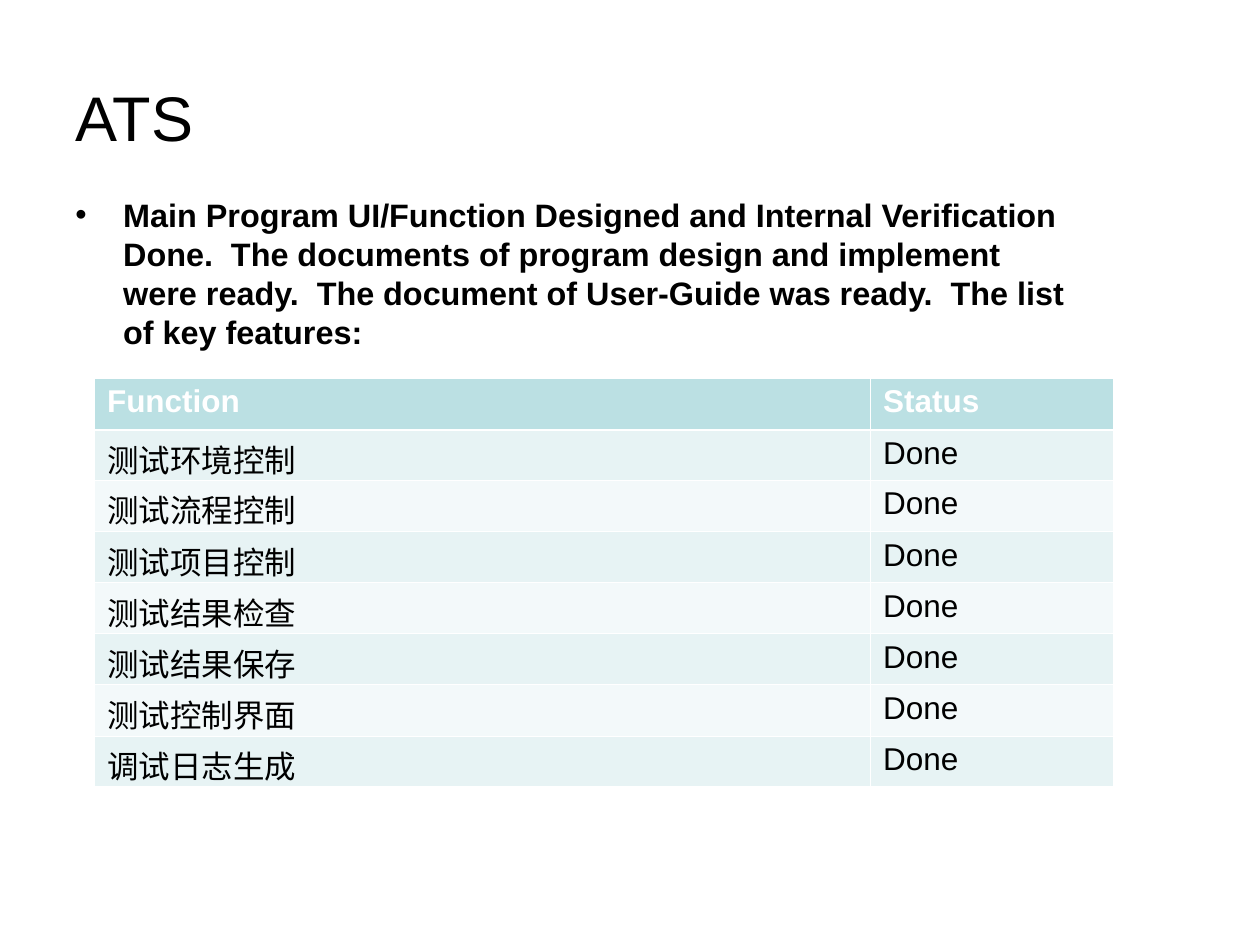
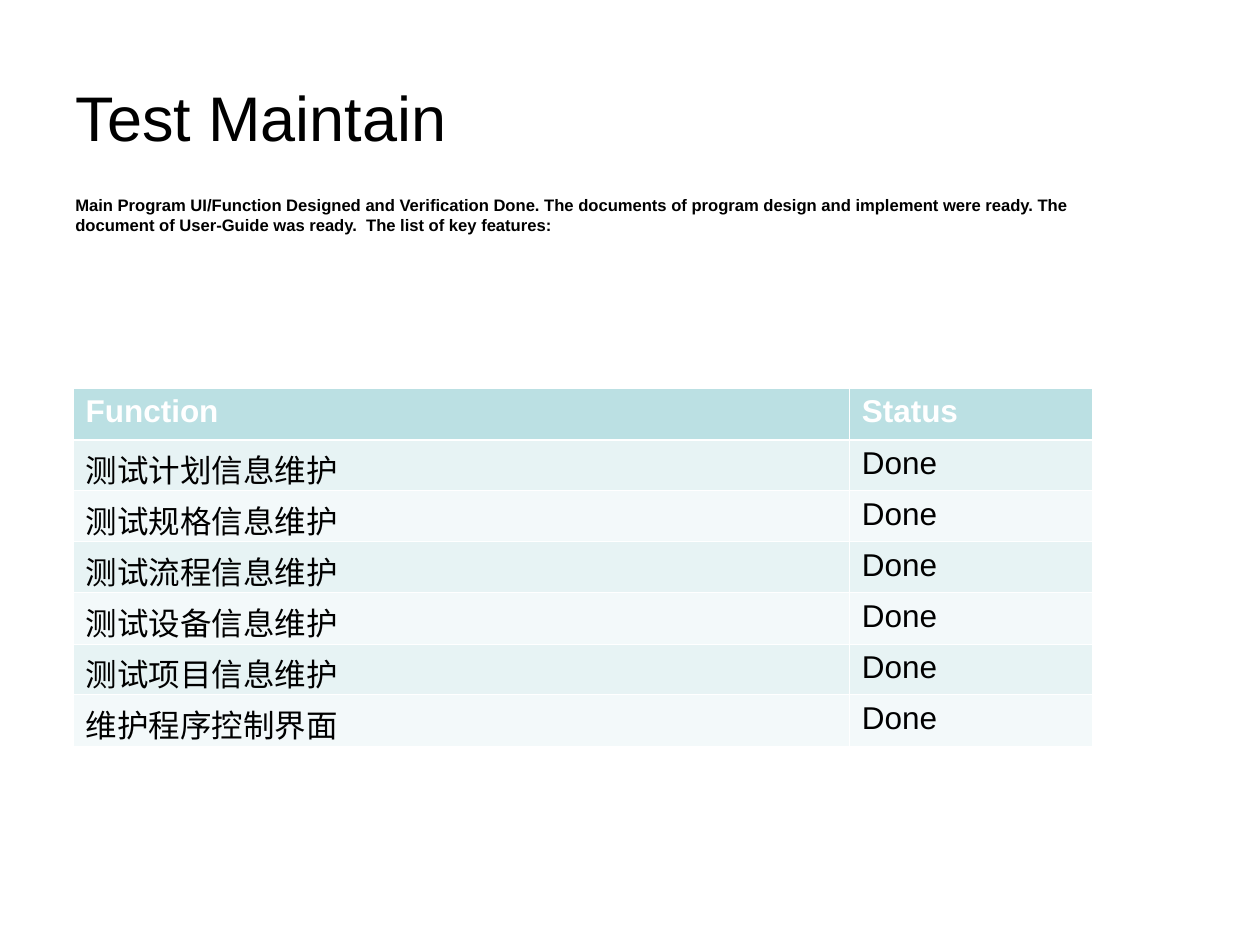
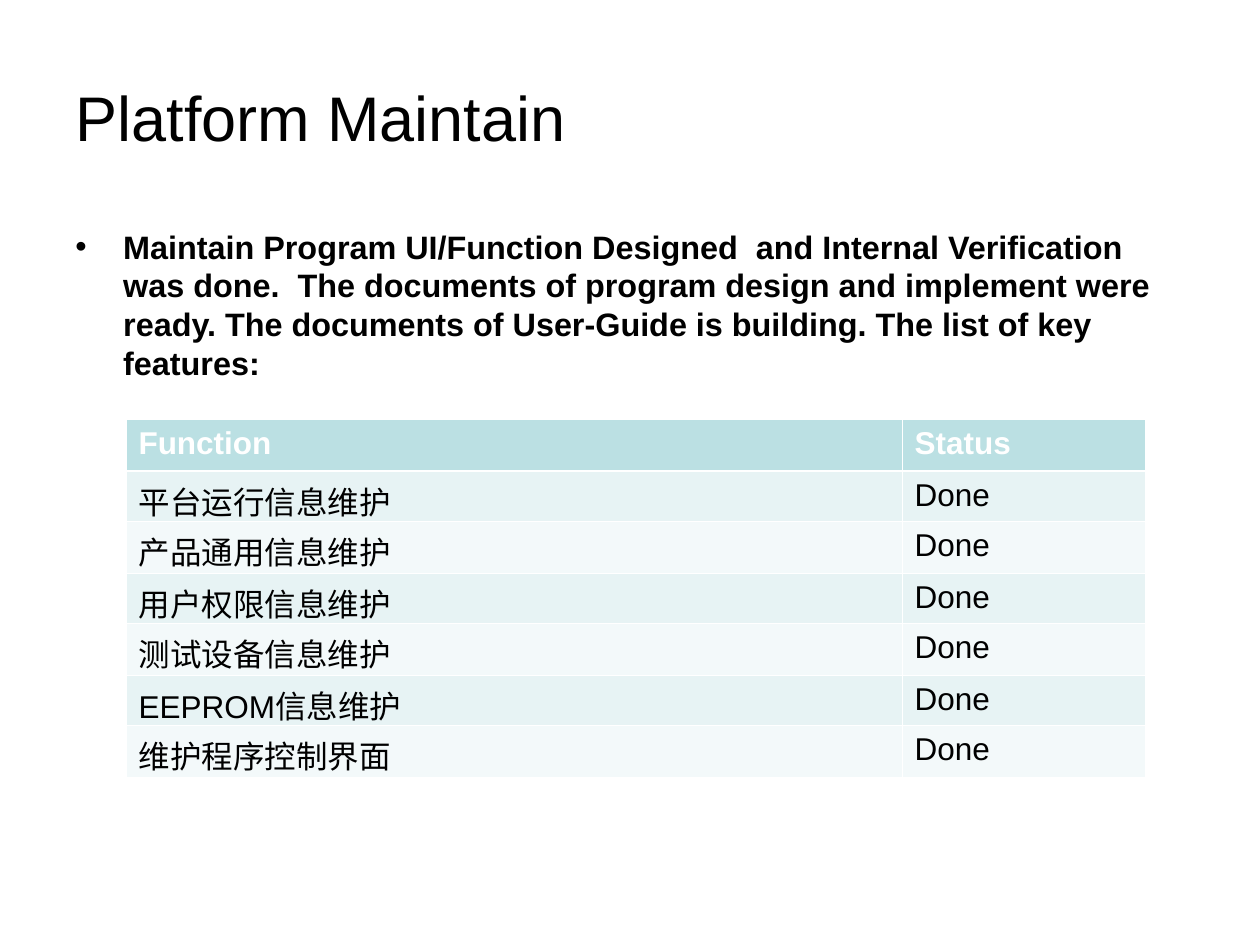
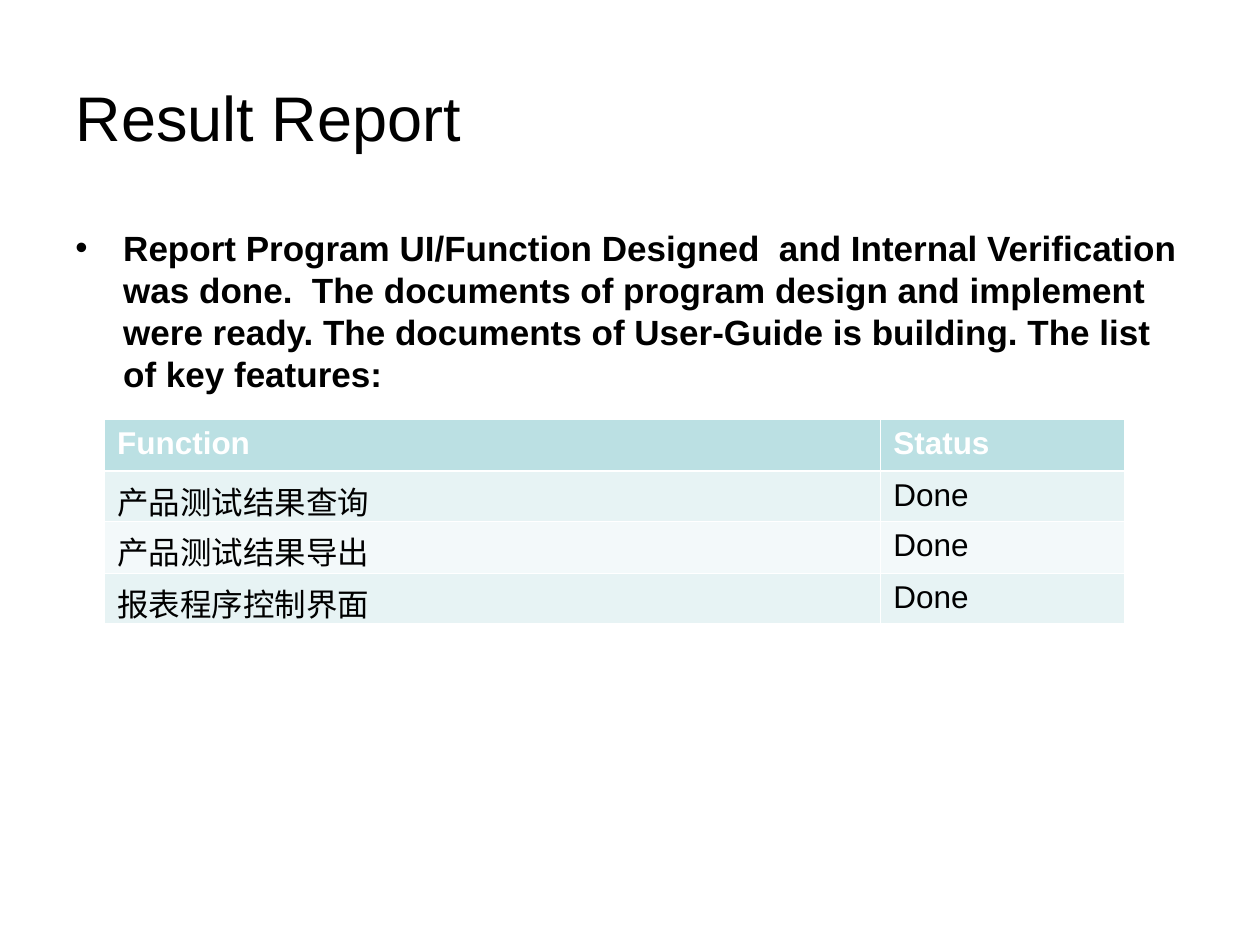
import lxml.etree
import pptx
import pptx.dml.color
import pptx.enum.text
import pptx.oxml.ns
import pptx.util

Inches = pptx.util.Inches

FONT = "Arial"
BLACK = "000000"
WHITE = "FFFFFF"
HEADER_FILL = "BBE0E3"
BAND_FILLS = ("E7F3F4", "F3F9FA")
TITLE_BOX = (0.5, 0.3, 6.42, 1.25)
COLUMN_WIDTHS = (6.16, 1.93)
ROW_HEIGHTS = (0.41, 0.4)
HEADINGS = ("Function", "Status")
THIN, THICK = 0.45, 1.47
BULLET_INDENT = 0.38

SLIDES = [
    {
        "title": "ATS",
        "summary": "Main Program UI/Function Designed and Internal Verification Done.  "
                   "The documents of program design and implement were ready.  "
                   "The document of User-Guide was ready.  The list of key features:",
        "summary_box": (0.5, 1.5, 8.17, 1.42),
        "size": 18.5,
        "bullet": True,
        "table_corner": (0.75, 3),
        "functions": ["测试环境控制", "测试流程控制", "测试项目控制", "测试结果检查",
                      "测试结果保存", "测试控制界面", "调试日志生成"],
    },
    {
        "title": "Test Maintain",
        "summary": "Main Program UI/Function Designed and Verification Done. "
                   "The documents of program design and implement were ready. "
                   "The document of User-Guide was ready.  The list of key features:",
        "summary_box": (0.5, 1.5, 8.17, 0.42),
        "size": 9.5,
        "bullet": False,
        "table_corner": (0.58, 3.08),
        "functions": ["测试计划信息维护", "测试规格信息维护", "测试流程信息维护",
                      "测试设备信息维护", "测试项目信息维护", "维护程序控制界面"],
    },
    {
        "title": "Platform Maintain",
        "summary": "Maintain Program UI/Function Designed  and Internal Verification was done.  "
                   "The documents of program design and implement were ready. "
                   "The documents of User-Guide is building. The list of key features:",
        "summary_box": (0.5, 1.75, 9, 1.42),
        "size": 18.5,
        "bullet": True,
        "table_corner": (1, 3.33),
        "functions": ["平台运行信息维护", "产品通用信息维护", "用户权限信息维护",
                      "测试设备信息维护", "EEPROM信息维护", "维护程序控制界面"],
    },
    {
        "title": "Result Report",
        "summary": "Report Program UI/Function Designed  and Internal Verification was done.  "
                   "The documents of program design and implement were ready. "
                   "The documents of User-Guide is building. The list of key features:",
        "summary_box": (0.5, 1.75, 9, 1.5),
        "size": 20,
        "bullet": True,
        "table_corner": (0.83, 3.33),
        "functions": ["产品测试结果查询", "产品测试结果导出", "报表程序控制界面"],
    },
]


def rgb(color):
    """Turn a hex string into a colour."""
    return pptx.dml.color.RGBColor.from_string(color)


def add_element(parent, tag, **attributes):
    """Append a drawing element with the given attributes."""
    element = lxml.etree.SubElement(parent, pptx.oxml.ns.qn(tag))
    for name, value in attributes.items():
        element.set(name, str(value))
    return element


def write_text(frame, text, size=18, color=BLACK, bold=False, space_before=0, bullet=False):
    """Fill a text frame with one formatted paragraph."""
    frame.word_wrap = True
    paragraph = frame.paragraphs[0]
    paragraph.alignment = pptx.enum.text.PP_ALIGN.LEFT
    paragraph.space_before = pptx.util.Pt(space_before)
    run = paragraph.add_run()
    run.text = text
    run.font.name = FONT
    run.font.size = pptx.util.Pt(size)
    run.font.bold = bold
    run.font.color.rgb = rgb(color)
    if bullet:
        properties = paragraph._p.get_or_add_pPr()
        properties.set("marL", str(Inches(BULLET_INDENT)))
        properties.set("indent", str(-Inches(BULLET_INDENT)))
        add_element(add_element(properties, "a:buClr"), "a:srgbClr", val=BLACK)
        add_element(properties, "a:buFont", typeface=FONT)
        add_element(properties, "a:buChar", char="•")


def set_borders(cell, top, bottom):
    """Draw white borders round a cell, with widths in points."""
    properties = cell._tc.get_or_add_tcPr()
    for side, width in (("L", THIN), ("R", THIN), ("T", top), ("B", bottom)):
        line = add_element(properties, f"a:ln{side}", w=pptx.util.Pt(width))
        add_element(add_element(line, "a:solidFill"), "a:srgbClr", val=WHITE)


def place_title(slide, text, box):
    """Move and format the title placeholder."""
    title = slide.shapes.title
    title.left, title.top, title.width, title.height = map(Inches, box)
    title.text_frame.vertical_anchor = pptx.enum.text.MSO_ANCHOR.MIDDLE
    write_text(title.text_frame, text, size=36)


def add_summary(slide, text, box, size, bullet):
    """Add the bold summary above the table."""
    text_box = slide.shapes.add_textbox(*map(Inches, box))
    write_text(text_box.text_frame, text, size=size, bold=True, space_before=5, bullet=bullet)


def add_status_table(slide, functions, corner):
    """Add the table of functions, all of them done, at the given corner."""
    rows = [HEADINGS] + [(function, "Done") for function in functions]
    heights = [ROW_HEIGHTS[index % 2] for index in range(len(rows))]
    box = (*corner, sum(COLUMN_WIDTHS), sum(heights))
    table = slide.shapes.add_table(len(rows), len(HEADINGS), *map(Inches, box)).table
    for column, width in zip(table.columns, COLUMN_WIDTHS):
        column.width = Inches(width)
    for index, (values, height) in enumerate(zip(rows, heights)):
        table.rows[index].height = Inches(height)
        header = index == 0
        fill = HEADER_FILL if header else BAND_FILLS[(index - 1) % 2]
        for cell, value in zip(table.rows[index].cells, values):
            set_borders(cell, top=THICK if index == 1 else THIN, bottom=THICK if header else THIN)
            cell.fill.solid()
            cell.fill.fore_color.rgb = rgb(fill)
            write_text(cell.text_frame, value, color=WHITE if header else BLACK, bold=header)


def add_status_slide(presentation, content):
    """Add a slide with a title, a summary and a status table."""
    slide = presentation.slides.add_slide(presentation.slide_layouts[5])
    place_title(slide, content["title"], TITLE_BOX)
    add_summary(slide, content["summary"], content["summary_box"], content["size"], content["bullet"])
    add_status_table(slide, content["functions"], content["table_corner"])


def main():
    """Build and save the presentation."""
    presentation = pptx.Presentation()
    presentation.slide_width = Inches(10)
    presentation.slide_height = Inches(7.5)
    for content in SLIDES:
        add_status_slide(presentation, content)
    presentation.save("out.pptx")


if __name__ == "__main__":
    main()
